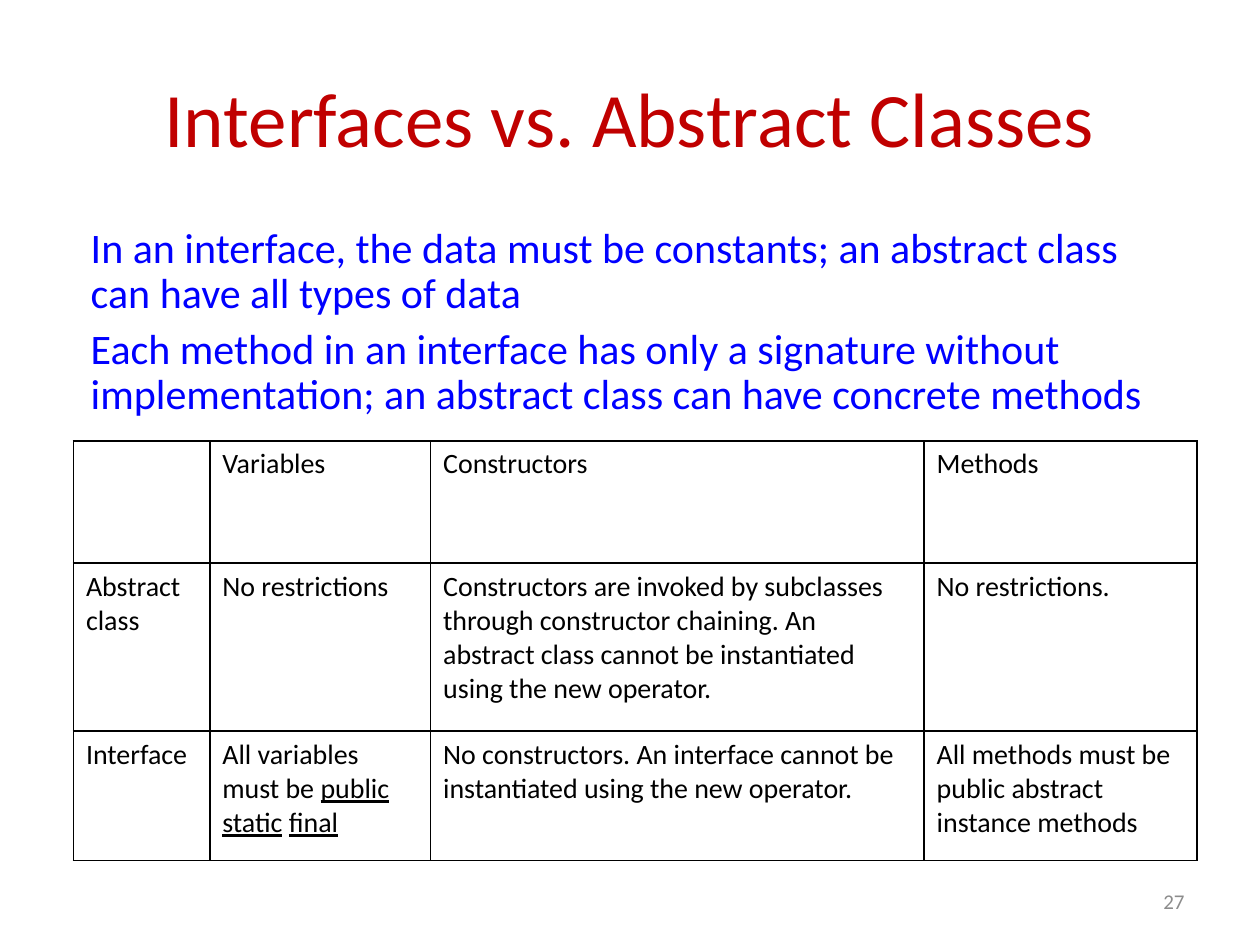
from lxml import etree
from pptx import Presentation
from pptx.dml.color import RGBColor
from pptx.enum.text import MSO_ANCHOR, PP_ALIGN
from pptx.oxml.ns import qn
from pptx.util import Cm, Pt

MID, TOP = MSO_ANCHOR.MIDDLE, MSO_ANCHOR.TOP
LEFT, MAIN, RIGHT = PP_ALIGN.LEFT, PP_ALIGN.CENTER, PP_ALIGN.RIGHT

HEAD = {"size": 44, "color": "C00000", "align": MAIN}
BODY = {"size": 24, "color": "0000FF", "align": LEFT,
        "para": {"line_spacing": 0.9, "space_before": Pt(0), "space_after": Pt(6)}}
CELL = {"size": 16, "color": "000000", "align": LEFT}
FOOT = {"size": 12, "color": "8C8C8C", "align": RIGHT}

POINTS = [
    "In an interface, the data must be constants; "
    "an abstract class can have all types of data",
    "Each method in an interface has only a signature without "
    "implementation; an abstract class can have concrete methods",
]
# A cell is a text, or a list of (text, underlined) runs
ROWS = [
    ["", "Variables ", "Constructors", "Methods"],
    ["Abstract class", "No restrictions ",
     "Constructors are invoked by subclasses through constructor chaining. "
     "An abstract class cannot be instantiated using the new operator. ",
     "No restrictions. "],
    ["Interface",
     [("All variables must be ", False), ("public", True), (" ", False),
      ("static", True), (" ", False), ("final", True)],
     "No constructors. An interface cannot be instantiated using the new operator.",
     "All methods must be public abstract instance methods "],
]
WIDTHS = [2.75, 4.45, 9.95, 5.5]
HEIGHTS = [2.46, 3.39, 2.61]


def color(code):
    return RGBColor.from_string(code)


def put(frame, paras, form):
    """Write paragraphs into a text frame with one format."""
    for i, runs in enumerate(paras):
        para = frame.add_paragraph() if i else frame.paragraphs[0]
        para.alignment = form["align"]
        for key, val in form.get("para", {}).items():
            setattr(para, key, val)
        for text, under in [(runs, False)] if isinstance(runs, str) else runs:
            font_run = para.add_run()
            font_run.text = text
            font = font_run.font
            look = {"name": "Calibri", "size": Pt(form["size"]), "underline": under}
            for key, val in look.items():
                setattr(font, key, val)
            font.color.rgb = color(form["color"])


def set_frame(frame, anchor, inset=0.25):
    look = {"word_wrap": True, "vertical_anchor": anchor, "margin_left": Cm(inset)}
    for key, val in look.items():
        setattr(frame, key, val)


def add_title(slide, box, text):
    title = slide.shapes.title
    for key, val in zip(("left", "top", "width", "height"), box):
        setattr(title, key, Cm(val))
    set_frame(title.text_frame, MID)
    put(title.text_frame, [text], HEAD)


def add_text(slide, box, paras, form, anchor, inset=0.25):
    frame = slide.shapes.add_textbox(*map(Cm, box)).text_frame
    set_frame(frame, anchor, inset)
    put(frame, paras, form)


def add_edges(cell):
    """Draw a thin black line on all four sides."""
    props = cell._tc.get_or_add_tcPr()
    for i, side in enumerate(("a:lnL", "a:lnR", "a:lnT", "a:lnB")):
        line = etree.Element(qn(side), w=str(Pt(1)))
        fill = etree.SubElement(line, qn("a:solidFill"))
        etree.SubElement(fill, qn("a:srgbClr"), val="000000")
        props.insert(i, line)


def add_grid(slide, left, top):
    box = map(Cm, (left, top, sum(WIDTHS), sum(HEIGHTS)))
    table = slide.shapes.add_table(len(ROWS), len(WIDTHS), *box).table
    table.first_row = table.horz_banding = False
    for col, width in zip(table.columns, WIDTHS):
        col.width = Cm(width)
    for row, height, texts in zip(table.rows, HEIGHTS, ROWS):
        row.height = Cm(height)
        for cell, text in zip(row.cells, texts):
            cell.fill.solid()
            cell.fill.fore_color.rgb = color("FFFFFF")
            add_edges(cell)
            if text:
                put(cell.text_frame, [text], CELL)


def main():
    deck = Presentation()
    deck.slide_width, deck.slide_height = Cm(25.4), Cm(19.05)
    slide = deck.slides.add_slide(deck.slide_layouts[5])
    add_title(slide, (1.27, 0.76, 22.86, 3.18), "Interfaces vs. Abstract Classes")
    add_text(slide, (1.27, 4.45, 22.86, 12.57), POINTS, BODY, TOP, inset=0.56)
    add_text(slide, (18.2, 17.65, 5.93, 1.02), ["27"], FOOT, MID)
    add_grid(slide, 1.48, 8.89)
    deck.save("out.pptx")


main()
